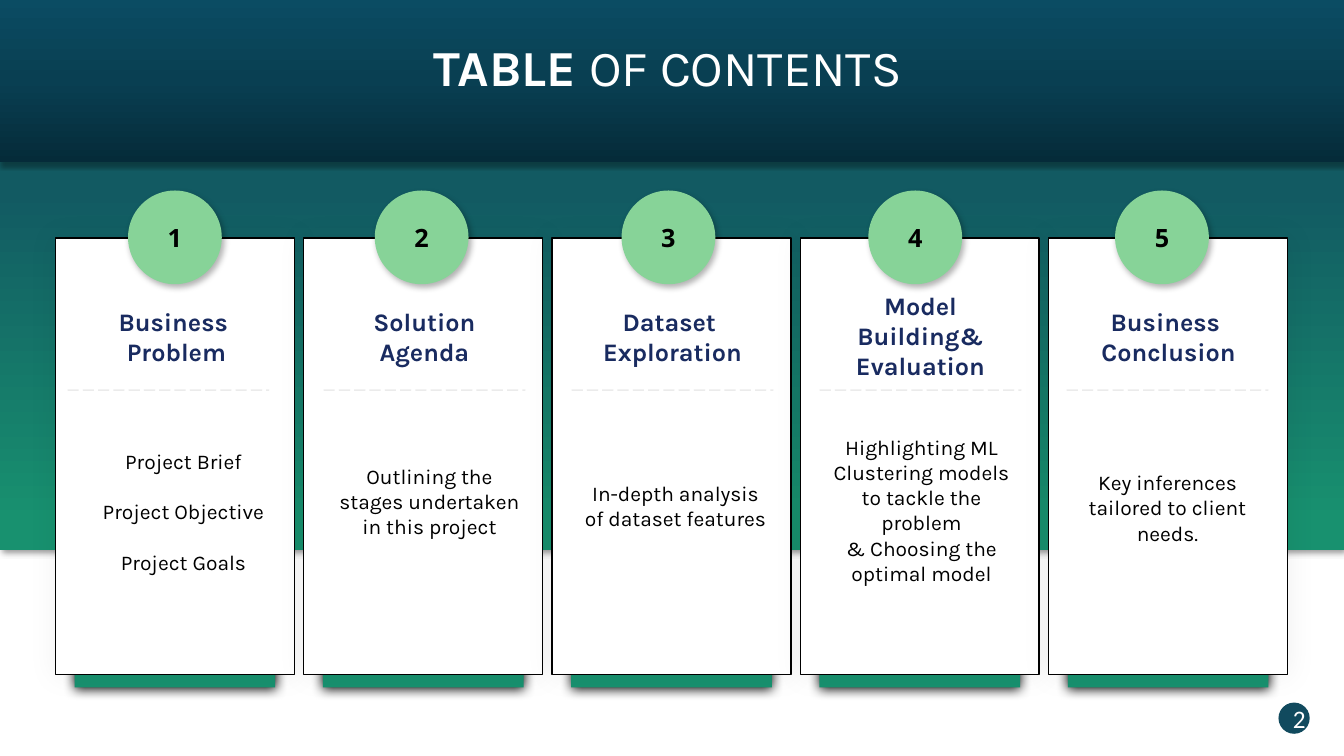
"""Build a table of contents slide with five numbered cards."""
from lxml.etree import SubElement
from pptx import Presentation
from pptx.dml.color import RGBColor
from pptx.enum.dml import MSO_LINE
from pptx.enum.shapes import MSO_CONNECTOR, MSO_SHAPE
from pptx.enum.text import MSO_ANCHOR, PP_ALIGN
from pptx.oxml.ns import qn
from pptx.util import Inches, Pt

COLORS = {
    "teal": "125A62", "green": "18916F", "mint": "87D398",
    "night": "052B39", "deep": "093F52", "ocean": "0B4C63",
    "badge": "114A5E", "navy": "192B60", "grey": "D8D8D8",
    "white": "FFFFFF", "black": "000000",
}
CARDS = [
    ("Business \nProblem", 2.99, 0.76, "Project Brief\nProject Objective\nProject Goals", 4.40, 1.48, 18, 0.67),
    ("Solution Agenda", 2.99, 0.42, "Outlining the stages undertaken in this project", 4.55, 1.17, 0, 3.21),
    ("Dataset \nExploration", 2.99, 0.42, "In-depth analysis of dataset features", 4.72, 0.82, 0, 5.67),
    ("Model Building& Evaluation", 2.83, 0.94,
     "Highlighting ML Clustering models to tackle the problem\n& Choosing the optimal model", 4.26, 1.74, 0, 8.13),
    ("Business \nConclusion", 2.99, 0.42, "Key inferences tailored to client needs.", 4.61, 1.05, 0, 10.58),
]
CARD_PITCH = (10.40 - 0.55) / 4
CIRCLE_PITCH = (11.06 - 1.27) / 4
BODY_PITCH = (10.65 - 0.89) / 4


def add_block(kind, left, top, width, height, fill, shadow=None, angle=0):
    """Add a shape with a solid or gradient fill and an optional (alpha, blur, distance, direction) shadow."""
    shape = slide.shapes.add_shape(kind, Inches(left), Inches(top), Inches(width), Inches(height))
    if isinstance(fill, str):
        shape.fill.solid()
        shape.fill.fore_color.rgb = RGBColor.from_string(COLORS[fill])
    else:
        gradient = SubElement(shape.element.spPr, qn("a:gradFill"), rotWithShape="1")
        stops = SubElement(gradient, qn("a:gsLst"))
        for position, color in fill:
            stop = SubElement(stops, qn("a:gs"), pos=str(position * 1000))
            SubElement(stop, qn("a:srgbClr"), val=COLORS[color])
        SubElement(gradient, qn("a:lin"), ang=str(angle * 60000), scaled="0")
    shape.line.fill.background()
    shape.shadow.inherit = False
    if shadow:
        alpha, blur, distance, direction = shadow
        effects = shape.element.spPr.find(qn("a:effectLst"))
        outer = SubElement(effects, qn("a:outerShdw"), blurRad=str(Pt(blur)), dist=str(Pt(distance)),
                           dir=str(direction * 60000), algn="ctr", rotWithShape="0")
        color = SubElement(outer, qn("a:srgbClr"), val=COLORS["black"])
        SubElement(color, qn("a:alpha"), val=str(alpha * 1000))
    return shape


def write_text(shape, text, size, font, color, bold=False, gap=0):
    """Fill a shape with centred, wrapped text."""
    frame = shape.text_frame
    frame.word_wrap = True
    frame.text = text
    for index, paragraph in enumerate(frame.paragraphs):
        paragraph.alignment = PP_ALIGN.CENTER
        if gap and index:
            paragraph.space_before = Pt(gap)
        for run in paragraph.runs:
            run.font.size = Pt(size)
            run.font.name = font
            run.font.bold = bold
            run.font.color.rgb = RGBColor.from_string(COLORS[color])


presentation = Presentation()
presentation.slide_width = Inches(13.33)
presentation.slide_height = Inches(7.5)
slide = presentation.slides.add_slide(presentation.slide_layouts[5])

add_block(MSO_SHAPE.RECTANGLE, 0, -0.03, 13.33, 5.49,
          [(0, "teal"), (35, "teal"), (95, "green"), (100, "green")], (40, 4, 3, 45), 90)
add_block(MSO_SHAPE.RECTANGLE, 0, -0.02, 13.4, 1.63,
          [(0, "night"), (50, "deep"), (100, "ocean")], (32, 3.5, 2.2, 90), 270)

for index, (heading, heading_top, heading_height, body, body_top, body_height, gap, rule_left) in enumerate(CARDS):
    offset = index * CARD_PITCH
    add_block(MSO_SHAPE.RECTANGLE, 0.74 + offset, 6.52, 1.99, 0.3, "green", (100, 8.5, 1, 90))
    card = add_block(MSO_SHAPE.RECTANGLE, 0.55 + offset, 2.36, 2.37, 4.33, "white", (5, 20, 0, 0))
    card.line.color.rgb = RGBColor.from_string(COLORS["black"])
    card.line.width = Pt(1)

    texts = [
        (0.82 + index * 2.46, heading_top, heading_height, heading, 18, "navy", True, 0),
        (0.89 + index * BODY_PITCH, body_top, body_height, body, 15, "black", False, gap),
    ]
    for left, top, height, text, size, color, bold, spacing in texts:
        box = slide.shapes.add_textbox(Inches(left), Inches(top), Inches(1.86), Inches(height))
        box.text_frame.margin_left = box.text_frame.margin_right = 0
        write_text(box, text, size, "Karla", color, bold, spacing)

    rule = slide.shapes.add_connector(MSO_CONNECTOR.STRAIGHT, Inches(rule_left), Inches(3.87),
                                      Inches(rule_left + 2), Inches(3.87))
    rule.line.color.rgb = RGBColor.from_string(COLORS["grey"])
    rule.line.width = Pt(1)
    rule.line.dash_style = MSO_LINE.LONG_DASH
    rule_color = rule.element.spPr.find(".//" + qn("a:srgbClr"))
    SubElement(rule_color, qn("a:alpha"), val="50000")
    SubElement(rule.element.spPr, qn("a:effectLst"))

    circle = add_block(MSO_SHAPE.OVAL, 1.27 + index * CIRCLE_PITCH, 1.89, 0.93, 0.93, "mint", (30, 4.5, 2.6, 53))
    write_text(circle, str(index + 1), 18, "Open Sans", "black", True)

page_badge = add_block(MSO_SHAPE.OVAL, 12.68, 6.97, 0.31, 0.31, "badge")
write_text(page_badge, "2", 18, "Calibri", "white")

title = slide.shapes.title
title.left, title.top, title.width, title.height = Inches(0.87), Inches(0.38), Inches(11.5), Inches(0.62)
write_text(title, "TABLE ", 36, "Karla", "white", True)
title.text_frame.vertical_anchor = MSO_ANCHOR.BOTTOM
title_paragraph = title.text_frame.paragraphs[0]
title_paragraph.line_spacing = 0.8
title_rest = title_paragraph.add_run()
title_rest.text = "OF CONTENTS"
title_rest.font.size = Pt(36)
title_rest.font.name = "Karla"
title_rest.font.bold = False
title_rest.font.color.rgb = RGBColor.from_string(COLORS["white"])
slide.shapes.element.append(title.element)

presentation.save("out.pptx")
